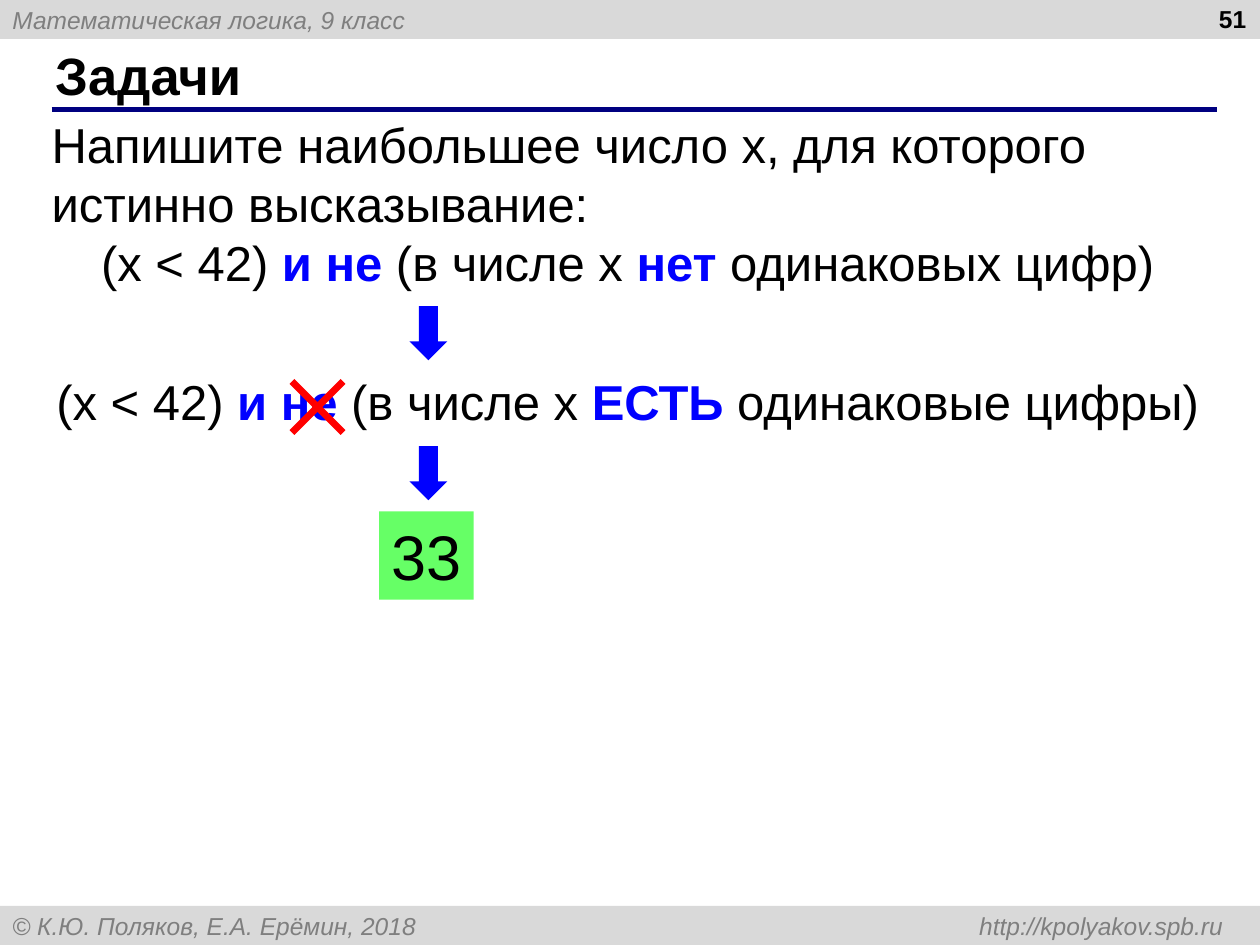
from lxml import etree
from pptx import Presentation
from pptx.dml.color import RGBColor
from pptx.enum.shapes import MSO_CONNECTOR, MSO_SHAPE
from pptx.enum.text import MSO_ANCHOR, PP_ALIGN
from pptx.oxml.ns import qn
from pptx.util import Inches, Pt

LEFT, CENTER, RIGHT = PP_ALIGN.LEFT, PP_ALIGN.CENTER, PP_ALIGN.RIGHT
TOP, MIDDLE = MSO_ANCHOR.TOP, MSO_ANCHOR.MIDDLE
RECTANGLE, DOWN_ARROW, CROSS = MSO_SHAPE.RECTANGLE, MSO_SHAPE.DOWN_ARROW, MSO_SHAPE.MATH_MULTIPLY
STRAIGHT = MSO_CONNECTOR.STRAIGHT

COLORS = {
    "band": "D9D9D9",
    "muted": "7F7F7F",
    "rule": "000080",
    "text": "000000",
    "accent": "0000FF",
    "strike": "FF0000",
    "answer": "66FF66",
}
WIDTH, HEIGHT = 10, 7.5
BAND_HEIGHT = 0.31
MARGIN, BODY_WIDTH = 0.41, 9.25
PADDING = (0.1, 0.05)


def color(name):
    return RGBColor.from_string(COLORS[name])


class SlideBuilder:
    font_name = "Arial"

    def __init__(self, presentation):
        self.slide = presentation.slides.add_slide(presentation.slide_layouts[6])

    def shape(self, kind, box, fill, adjustments=()):
        shape = self.slide.shapes.add_shape(kind, *map(Inches, box))
        shape.shadow.inherit = False
        shape.fill.solid()
        shape.fill.fore_color.rgb = color(fill)
        shape.line.fill.background()
        for index, value in enumerate(adjustments):
            shape.adjustments[index] = value
        return shape

    def frame(self, shape, anchor=MIDDLE, padding=PADDING, wrap=True):
        frame = shape.text_frame
        frame.word_wrap = wrap
        frame.vertical_anchor = anchor
        frame.margin_left = frame.margin_right = Inches(padding[0])
        frame.margin_top = frame.margin_bottom = Inches(padding[1])
        return frame

    def style(self, paragraph, size, fill="text", align=LEFT, bold=False, italic=False):
        paragraph.alignment = align
        font = paragraph.font
        font.name, font.size = self.font_name, Pt(size)
        font.bold, font.italic = bold, italic
        font.color.rgb = color(fill)

    def band(self, top, text, tab=None):
        shape = self.shape(RECTANGLE, (0, top, WIDTH, BAND_HEIGHT), "band")
        paragraph = self.frame(shape).paragraphs[0]
        paragraph.text = text
        if tab:
            tabs = etree.SubElement(paragraph._p.get_or_add_pPr(), qn("a:tabLst"))
            etree.SubElement(tabs, qn("a:tab"), pos=str(Inches(tab)), algn="r")
        self.style(paragraph, 14, "muted", italic=True)

    def rule(self, top):
        line = self.slide.shapes.add_connector(
            STRAIGHT, *map(Inches, (MARGIN, top, MARGIN + BODY_WIDTH, top)))
        line.line.color.rgb = color("rule")
        line.line.width = Pt(3)
        etree.SubElement(line._element.spPr, qn("a:effectLst"))

    def label(self, box, text, size, align=LEFT, anchor=MIDDLE):
        shape = self.slide.shapes.add_textbox(*map(Inches, box))
        paragraph = self.frame(shape, anchor).paragraphs[0]
        paragraph.text = text
        self.style(paragraph, size, align=align, bold=True)

    def statement(self, top, height, parts, intro=None):
        box = (MARGIN, top, BODY_WIDTH, height)
        shape = self.slide.shapes.add_textbox(*map(Inches, box))
        frame = self.frame(shape, padding=(0, 0))
        paragraph = frame.paragraphs[0]
        if intro:
            paragraph.text = intro
            self.style(paragraph, 28)
            paragraph = frame.add_paragraph()
        self.style(paragraph, 28, align=CENTER)
        for index, text in enumerate(parts):
            run = paragraph.add_run()
            run.text = text
            if index % 2:
                run.font.bold = True
                run.font.color.rgb = color("accent")

    def arrow(self, top):
        self.shape(DOWN_ARROW, (3.25, top, 0.3, 0.43), "accent", (0.5, 0.5))

    def answer(self, box, text):
        shape = self.shape(RECTANGLE, box, "answer")
        paragraph = self.frame(shape, TOP, wrap=False).paragraphs[0]
        paragraph.text = text
        self.style(paragraph, 36)


def main():
    presentation = Presentation()
    presentation.slide_width, presentation.slide_height = Inches(WIDTH), Inches(HEIGHT)
    builder = SlideBuilder(presentation)
    builder.band(0, "Математическая логика, 9 класс")
    builder.band(HEIGHT - BAND_HEIGHT,
                 "© К.Ю. Поляков, Е.А. Ерёмин, 2018\thttp://kpolyakov.spb.ru", tab=9.61)
    builder.rule(0.87)
    builder.label((0.34, 0.33, 9.16, 0.52), "Задачи", 30)
    builder.label((7.66, -0.02, 2.33, 0.52), "51", 14, RIGHT, TOP)
    builder.statement(
        0.91, 1.4,
        ("(x < 42) ", "и не", " (в числе x ", "нет", " одинаковых цифр) "),
        "Напишите наибольшее число x, для которого истинно высказывание:")
    builder.arrow(2.43)
    builder.statement(
        2.95, 0.47,
        ("(x < 42) ", "и не", " (в числе x ", "ЕСТЬ", " одинаковые цифры) "))
    builder.shape(CROSS, (2.13, 2.84, 0.78, 0.78), "strike", (0.07,))
    builder.arrow(3.54)
    builder.answer((3.01, 4.06, 0.75, 0.7), "33")
    presentation.save("out.pptx")


if __name__ == "__main__":
    main()
